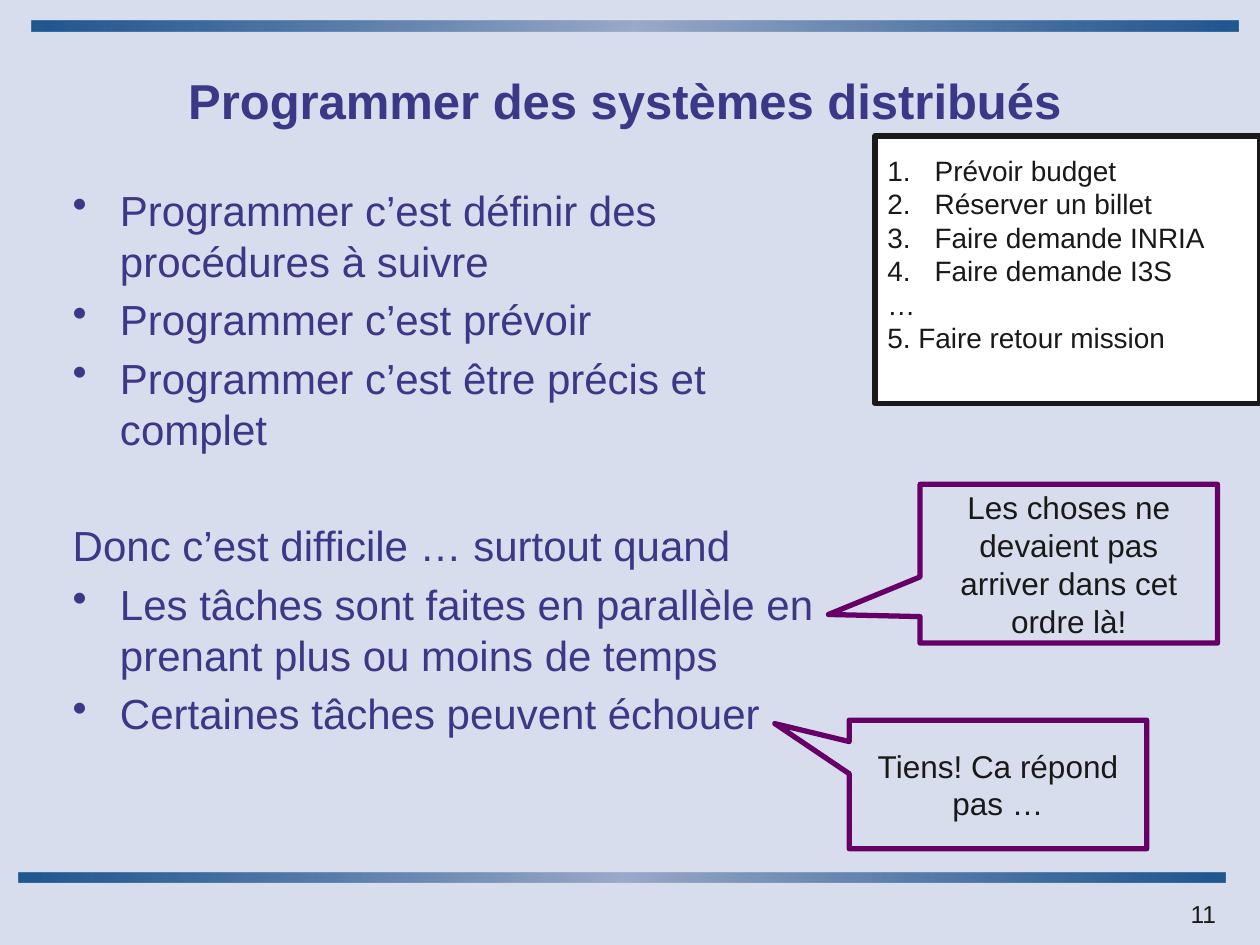
from lxml.etree import SubElement
from pptx import Presentation
from pptx.dml.color import RGBColor
from pptx.enum.shapes import MSO_SHAPE
from pptx.enum.text import MSO_ANCHOR, PP_ALIGN
from pptx.oxml.ns import qn
from pptx.util import Pt

INDIGO, INK, PURPLE, WHITE = "3B3887", "191919", "660066", "FFFFFF"
HANGING = 27


def paint(color_format, hex_color):
    color_format.rgb = RGBColor.from_string(hex_color)


def write(frame, text, size, color=INK, bold=False, align=PP_ALIGN.LEFT,
          space_before=0, bullet=None, numbered=False):
    """Fill the frame's first paragraph if it is still empty, else append one."""
    paragraph = frame.paragraphs[0]
    if paragraph.runs:
        paragraph = frame.add_paragraph()
    paragraph.alignment = align
    paragraph.space_before = Pt(space_before)
    if bullet or numbered:
        properties = paragraph._p.get_or_add_pPr()
        properties.set("marL", str(Pt(HANGING)))
        properties.set("indent", str(Pt(-HANGING)))
        bullet_color = SubElement(properties, qn("a:buClr"))
        SubElement(bullet_color, qn("a:srgbClr"), val=color)
        if numbered:
            SubElement(properties, qn("a:buAutoNum"), type="arabicPeriod")
        else:
            SubElement(properties, qn("a:buChar"), char=bullet)
    run = paragraph.add_run()
    run.text = text
    run.font.name = "Arial"
    run.font.size = Pt(size)
    run.font.bold = bold
    paint(run.font.color, color)


presentation = Presentation()
presentation.slide_width, presentation.slide_height = Pt(720), Pt(540)
slide = presentation.slides.add_slide(presentation.slide_layouts[6])
slide.background.fill.solid()
paint(slide.background.fill.fore_color, "D8DDED")
shapes = slide.shapes

# Gradient bands at the top and bottom
for left, top in [(18, 12), (10.5, 498.5)]:
    band = shapes.add_shape(MSO_SHAPE.RECTANGLE, Pt(left), Pt(top), Pt(690), Pt(6))
    band.shadow.inherit = False
    band.line.fill.background()
    band.fill.gradient()
    band.fill.gradient_angle = 0
    stops = band._element.spPr.find(qn("a:gradFill")).find(qn("a:gsLst"))
    for old_stop in list(stops):
        stops.remove(old_stop)
    for position, color, opacity in [(0, "004080", 85), (50, "9BAAC9", 100), (100, "004080", 85)]:
        stop = SubElement(stops, qn("a:gs"), pos=str(position * 1000))
        stop_color = SubElement(stop, qn("a:srgbClr"), val=color)
        if opacity < 100:
            SubElement(stop_color, qn("a:alpha"), val=str(opacity * 1000))

# Title, body and page number
title = shapes.add_textbox(Pt(31.5), Pt(24), Pt(651), Pt(66)).text_frame
title.vertical_anchor = MSO_ANCHOR.MIDDLE
body = shapes.add_textbox(Pt(34.5), Pt(102), Pt(465), Pt(360)).text_frame
page_number = shapes.add_textbox(Pt(570), Pt(510), Pt(132), Pt(18)).text_frame
for frame in (title, body, page_number):
    frame.word_wrap = True

write(title, "Programmer des systèmes distribués", 28, INDIGO, bold=True, align=PP_ALIGN.CENTER)
write(page_number, "11", 14, align=PP_ALIGN.RIGHT)
for text, bullet, space_before in [
    ("Programmer c’est définir des procédures à suivre", "•", 0),
    ("Programmer c’est prévoir", "•", 4.8),
    ("Programmer c’est être précis et complet", "•", 4.8),
    ("Donc c’est difficile … surtout quand", None, 38),
    ("Les tâches sont faites en parallèle en prenant plus ou moins de temps", "•", 4.8),
    ("Certaines tâches peuvent échouer", "•", 4.8),
]:
    write(body, text, 24, INDIGO, bullet=bullet, space_before=space_before)

# Mission procedure
procedure = shapes.add_shape(MSO_SHAPE.RECTANGLE, Pt(500), Pt(77.75), Pt(220), Pt(152.75))
procedure.shadow.inherit = False
procedure.fill.solid()
paint(procedure.fill.fore_color, WHITE)
paint(procedure.line.color, INK)
procedure.line.width = Pt(3)
steps = procedure.text_frame
steps.vertical_anchor = MSO_ANCHOR.TOP
steps.margin_top = Pt(9.7)
for step in ["Prévoir budget", "Réserver un billet", "Faire demande INRIA", "Faire demande I3S"]:
    write(steps, step, 16, numbered=True)
for step in ["…", "5. Faire retour mission"]:
    write(steps, step, 16)

# Remarks pointing at the two difficulties
for remark, left, top, height, pointer in [
    ("Les choses ne devaient pas arriver dans cet ordre là!", 525.75, 276.75, 90.75, (-0.808, 0.32)),
    ("Tiens! Ca répond pas …", 485.25, 411.5, 73.5, (-0.75, -0.473)),
]:
    callout = shapes.add_shape(MSO_SHAPE.RECTANGULAR_CALLOUT, Pt(left), Pt(top), Pt(170), Pt(height))
    callout.adjustments[0], callout.adjustments[1] = pointer
    callout.shadow.inherit = False
    callout.fill.background()
    paint(callout.line.color, PURPLE)
    callout.line.width = Pt(3)
    callout.text_frame.vertical_anchor = MSO_ANCHOR.MIDDLE
    write(callout.text_frame, remark, 18, align=PP_ALIGN.CENTER)

presentation.save("out.pptx")
